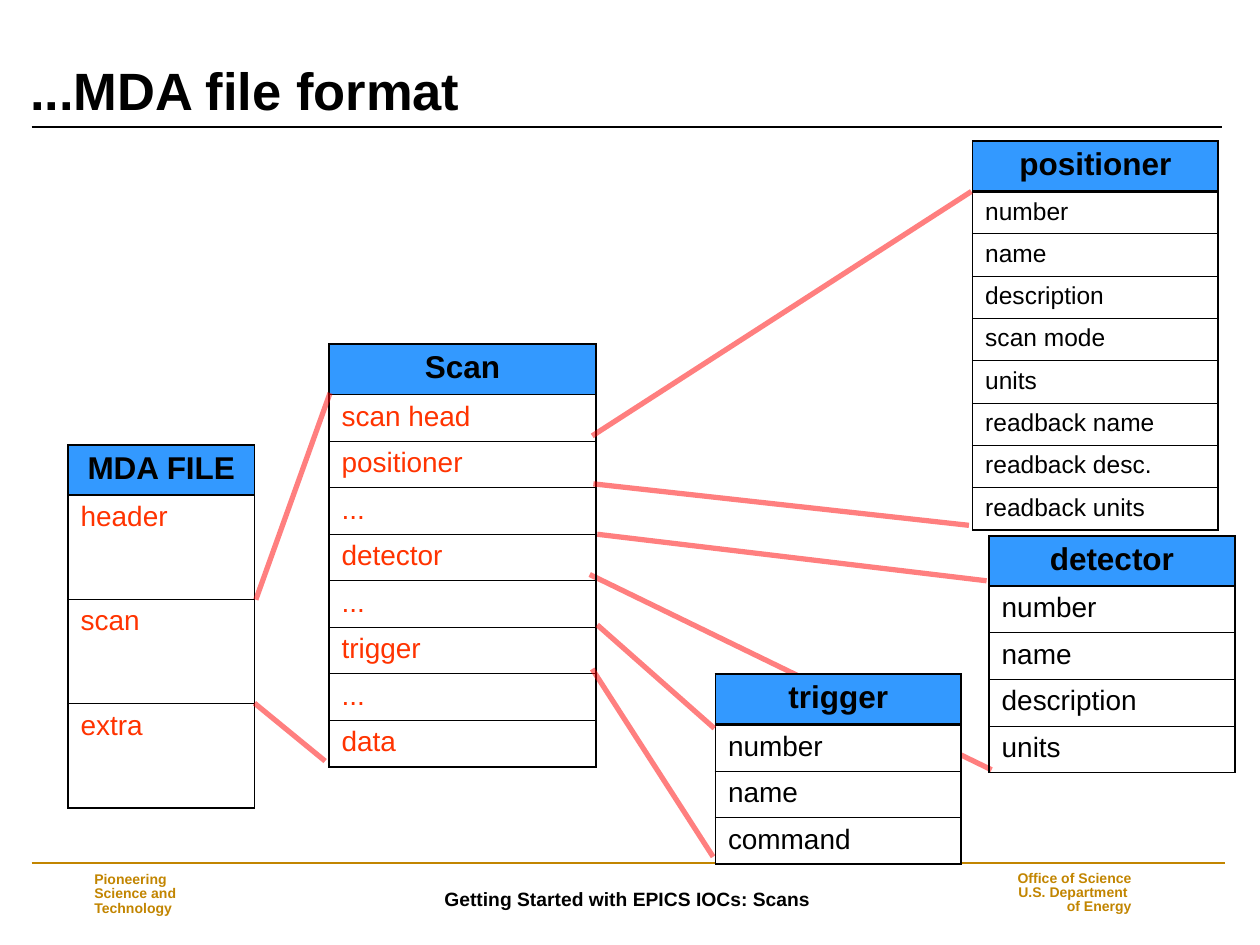
from pptx import Presentation
from pptx.dml.color import RGBColor
from pptx.enum.shapes import MSO_CONNECTOR
from pptx.enum.text import MSO_ANCHOR, PP_ALIGN
from pptx.oxml.ns import qn
from pptx.util import Pt
from lxml.etree import SubElement

COLORS = {
    "text": "000000",
    "header": "3399FF",
    "linked": "FF3300",
    "link": "FF0000",
    "gold": "C28500",
    "paper": "FFFFFF",
}
FONT = "Arial"
HEADER_HEIGHT = 28.8
OUTLINE, HEAVY, HAIRLINE = 1.08, 1.47, 0.45


def color(name):
    return RGBColor.from_string(COLORS[name])


def format_paragraph(paragraph, size, color_name, bold=False, align=PP_ALIGN.LEFT, spacing=None):
    paragraph.alignment = align
    paragraph.line_spacing = spacing
    for run in paragraph.runs:
        run.font.name = FONT
        run.font.size = Pt(size)
        run.font.bold = bold
        run.font.color.rgb = color(color_name)


def add_line(slide, start, end, color_name, width, opacity=None):
    line = slide.shapes.add_connector(
        MSO_CONNECTOR.STRAIGHT, *(Pt(value) for value in (*start, *end)))
    line.line.width = Pt(width)
    line.line.color.rgb = color(color_name)
    properties = line._element.spPr
    if opacity is not None:
        tint = next(properties.iter(qn("a:srgbClr")))
        SubElement(tint, qn("a:alpha"), val=str(opacity * 1000))
    SubElement(properties, qn("a:effectLst"))


def add_links(slide, pairs):
    for start, end in pairs:
        add_line(slide, start, end, "link", 3, opacity=50)


def set_borders(cell, top, bottom):
    """Draw the cell's sides, with the given widths above and below."""
    properties = cell._tc.get_or_add_tcPr()
    sides = {"L": OUTLINE, "R": OUTLINE, "T": top, "B": bottom}
    for index, (side, width) in enumerate(sides.items()):
        border = SubElement(properties, qn(f"a:ln{side}"), w=str(Pt(width)))
        fill = SubElement(border, qn("a:solidFill"))
        SubElement(fill, qn("a:srgbClr"), val=COLORS["text"])
        properties.insert(index, border)


def add_record(slide, box, heading, fields, size=16, text_color="text",
               rule=HEAVY, paper=False):
    """Draw a one-column table: a coloured heading over equal field rows."""
    left, top, width, height = box
    texts = [heading, *fields]
    frame = slide.shapes.add_table(
        len(texts), 1, Pt(left), Pt(top), Pt(width), Pt(height))
    table = frame.table
    table.first_row = table.horz_banding = False
    field_height = (height - HEADER_HEIGHT) / len(fields)
    widths = [OUTLINE, rule] + [HAIRLINE] * (len(fields) - 1) + [OUTLINE]
    for index, text in enumerate(texts):
        is_heading = index == 0
        table.rows[index].height = Pt(HEADER_HEIGHT if is_heading else field_height)
        cell = table.cell(index, 0)
        cell.text = text
        if is_heading or paper:
            cell.fill.solid()
            cell.fill.fore_color.rgb = color("header" if is_heading else "paper")
        else:
            cell.fill.background()
        set_borders(cell, widths[index], widths[index + 1])
        paragraph = cell.text_frame.paragraphs[0]
        if is_heading:
            format_paragraph(paragraph, 18, "text", True, PP_ALIGN.CENTER)
        else:
            format_paragraph(paragraph, size, text_color)


def add_title(slide, box, text):
    left, top, width, height = box
    title = slide.shapes.title
    title.left, title.top, title.width, title.height = (Pt(value) for value in box)
    frame = title.text_frame
    frame.text = text
    frame.word_wrap = True
    frame.vertical_anchor = MSO_ANCHOR.BOTTOM
    frame.margin_top = 0
    format_paragraph(frame.paragraphs[0], 30, "text", True, spacing=0.9)
    rule_top = top + height - 0.8
    add_line(slide, (18, rule_top), (left + width - 1.4, rule_top), "text", 1.5)


def add_footer(slide, box):
    left, top, width, _ = box
    add_line(slide, (left, top), (left + width, top), "gold", 1)
    notes = [
        ((28.8, 2.2, 105, 31.7), "Pioneering\vScience and\vTechnology",
         8, "gold", PP_ALIGN.LEFT, 0.85),
        ((127.4, 2.9, 426.2, 34.6), "Getting Started with EPICS IOCs: Scans",
         11, "text", PP_ALIGN.CENTER, None),
        ((546.5, 1.4, 89.3, 31.7), "Office of Science\nU.S. Department \nof Energy",
         8, "gold", PP_ALIGN.RIGHT, 0.85),
    ]
    for (x, y, note_width, height), text, size, color_name, align, spacing in notes:
        note = slide.shapes.add_textbox(
            Pt(left + x), Pt(top + y), Pt(note_width), Pt(height))
        frame = note.text_frame
        frame.word_wrap = True
        frame.vertical_anchor = MSO_ANCHOR.MIDDLE
        frame.text = text
        for paragraph in frame.paragraphs:
            format_paragraph(paragraph, size, color_name, True, align, spacing)


def add_file_diagram(slide):
    add_links(slide, [
        ((341.3, 305.3), (563.8, 331.9)),
        ((337, 328.3), (566.6, 439.9)),
    ])
    add_record(slide, (38.9, 254.2, 106.6, 207.3), "MDA FILE",
               ["header", "scan", "extra"], text_color="linked")
    add_record(slide, (188, 196.6, 152.6, 241.6), "Scan",
               ["scan head", "positioner", "...", "detector", "...",
                "trigger", "...", "data"],
               text_color="linked", rule=HAIRLINE)
    add_record(slide, (555.8, 80.6, 140.4, 222.4), "positioner",
               ["number", "name", "description", "scan mode", "units",
                "readback name", "readback desc.", "readback units"], size=14)
    add_links(slide, [
        ((146.2, 342.7), (188.6, 224.6)),
        ((145.4, 401.8), (185.8, 434.9)),
        ((338.4, 249.1), (555.1, 109.4)),
        ((339.1, 276.5), (553.7, 300.2)),
    ])
    add_record(slide, (565.2, 306.2, 140.4, 135.2), "detector",
               ["number", "name", "description", "units"])
    add_record(slide, (408.8, 385.2, 140.4, 108.6), "trigger",
               ["number", "name", "command"], paper=True)
    add_links(slide, [
        ((341.3, 357.1), (408.2, 416.2)),
        ((338.4, 382.3), (407.5, 489.6)),
    ])


def main():
    presentation = Presentation()
    presentation.slide_width, presentation.slide_height = Pt(720), Pt(540)
    slide = presentation.slides.add_slide(presentation.slide_layouts[5])
    add_footer(slide, (18, 493.2, 681.8, 40))
    add_title(slide, (10.1, 37.4, 689.8, 36), "...MDA file format")
    add_file_diagram(slide)
    presentation.save("out.pptx")


if __name__ == "__main__":
    main()
